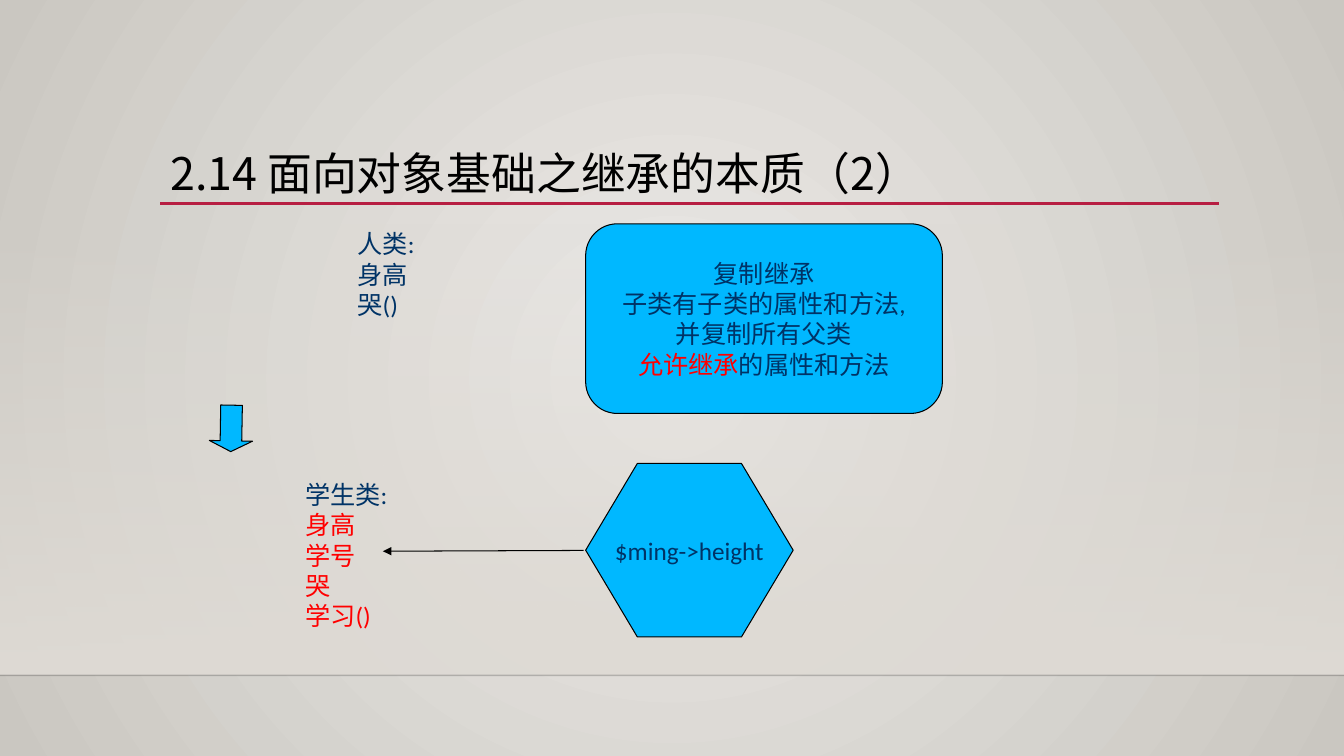
from lxml import etree
from pptx import Presentation
from pptx.dml.color import RGBColor
from pptx.enum.shapes import MSO_CONNECTOR, MSO_SHAPE
from pptx.enum.text import MSO_ANCHOR, MSO_AUTO_SIZE, PP_ALIGN
from pptx.oxml.ns import qn
from pptx.util import Cm, Pt

BLACK = RGBColor(0x00, 0x00, 0x00)
NAVY = RGBColor(0x00, 0x33, 0x66)
RED = RGBColor(0xFF, 0x00, 0x00)
SKY = RGBColor(0x00, 0xB8, 0xFF)
CRIMSON = RGBColor(0xB7, 0x1E, 0x42)
STONE = RGBColor(0xDF, 0xDB, 0xD5)
BG_INNER = RGBColor(0xEC, 0xEA, 0xE7)
BG_OUTER = RGBColor(0xCA, 0xC7, 0xC1)

WIDTH, HEIGHT = 33.87, 19.05
FLOOR_Y = 17.02
RULE_Y = 5.13


def set_alpha(owner, percent):
    color = owner.find('.//' + qn('a:srgbClr'))
    etree.SubElement(color, qn('a:alpha')).set('val', str(percent * 1000))


def set_gradient(fill, owner, colors, radial=False):
    """Give a fill two stops, running from the centre or straight down."""
    fill.gradient()
    for stop, color, position in zip(fill.gradient_stops, colors, (0, 1)):
        stop.color.rgb = color
        stop.position = position
    grad = owner.find('.//' + qn('a:gradFill'))
    grad.remove(grad.find(qn('a:lin')))
    if radial:
        direction = etree.Element(qn('a:path'), path='circle')
        sides = dict.fromkeys('ltrb', '50000')
        etree.SubElement(direction, qn('a:fillToRect'), sides)
    else:
        direction = etree.Element(qn('a:lin'), ang='5400000', scaled='0')
    grad.find(qn('a:gsLst')).addnext(direction)
    return grad


class SlideBuilder:
    latin = 'Calibri'
    east_asian = 'Noto Sans CJK SC'
    size = 18
    outline = 0.75

    def __init__(self, slide):
        self.slide = slide

    def background(self, inner, outer):
        fill = self.slide.background.fill
        set_gradient(fill, self.slide.element, (inner, outer), radial=True)

    def fade(self, x, y, w, h, color):
        sp = self.slide.shapes.add_shape(MSO_SHAPE.RECTANGLE, Cm(x), Cm(y), Cm(w), Cm(h))
        sp.shadow.inherit = False
        sp.line.fill.background()
        set_alpha(set_gradient(sp.fill, sp.element, (color, color)), 0)

    def line(self, x1, y1, x2, y2, color=BLACK, width=outline, alpha=None, arrow=False):
        cxn = self.slide.shapes.add_connector(
            MSO_CONNECTOR.STRAIGHT, Cm(x1), Cm(y1), Cm(x2), Cm(y2))
        cxn.line.color.rgb = color
        cxn.line.width = Pt(width)
        ln = cxn.element.spPr.find(qn('a:ln'))
        if alpha is not None:
            set_alpha(ln, alpha)
        if arrow:
            etree.SubElement(ln, qn('a:tailEnd')).set('type', 'triangle')
        etree.SubElement(cxn.element.spPr, qn('a:effectLst'))

    def fill_text(self, tf, lines, align=PP_ALIGN.LEFT, size=size, latin=latin):
        """Each line is a list of (text, colour) runs."""
        for i, runs in enumerate(lines):
            p = tf.add_paragraph() if i else tf.paragraphs[0]
            p.alignment = align
            for text, color in runs:
                r = p.add_run()
                r.text = text
                r.font.size = Pt(size)
                r.font.name = latin
                r.font.color.rgb = color
                ea = etree.Element(qn('a:ea'), typeface=self.east_asian)
                r.font._element.find(qn('a:latin')).addnext(ea)

    def text(self, x, y, w, h, lines):
        tf = self.slide.shapes.add_textbox(Cm(x), Cm(y), Cm(w), Cm(h)).text_frame
        tf.word_wrap = True
        tf.auto_size = MSO_AUTO_SIZE.SHAPE_TO_FIT_TEXT
        self.fill_text(tf, lines)

    def title(self, x, y, w, h, text):
        tf = self.slide.shapes.add_textbox(Cm(x), Cm(y), Cm(w), Cm(h)).text_frame
        tf.word_wrap = True
        tf.vertical_anchor = MSO_ANCHOR.BOTTOM
        self.fill_text(tf, [[(text, BLACK)]], size=32, latin=self.east_asian)
        tf.paragraphs[0].line_spacing = 0.9

    def shape(self, kind, x, y, w, h, adjustments, lines=(), rotation=0):
        sp = self.slide.shapes.add_shape(kind, Cm(x), Cm(y), Cm(w), Cm(h))
        sp.shadow.inherit = False
        sp.rotation = rotation
        for i, value in enumerate(adjustments):
            sp.adjustments[i] = value
        sp.fill.solid()
        sp.fill.fore_color.rgb = SKY
        sp.line.color.rgb = BLACK
        sp.line.width = Pt(self.outline)
        tf = sp.text_frame
        tf.word_wrap = False
        tf.vertical_anchor = MSO_ANCHOR.MIDDLE
        self.fill_text(tf, lines, PP_ALIGN.CENTER)


def main():
    prs = Presentation()
    prs.slide_width, prs.slide_height = Cm(WIDTH), Cm(HEIGHT)
    s = SlideBuilder(prs.slides.add_slide(prs.slide_layouts[6]))

    # Backdrop
    s.background(BG_INNER, BG_OUTER)
    s.fade(0, 5.61, WIDTH, 11.4, STONE)
    s.line(0, FLOOR_Y, WIDTH, FLOOR_Y, width=1, alpha=20)

    # Title and rule
    s.line(4.04, RULE_Y, 30.73, RULE_Y, CRIMSON, 2.5)
    s.title(4.04, 3.66, 26.67, 1.5, '2.14 面向对象基础之继承的本质（2）')

    # Parent and child class
    s.text(8.76, 5.64, 3.35, 2.49, [[(t, NAVY)] for t in ('人类:', '身高', '哭()')])
    members = [[(t, RED)] for t in ('身高', '学号', '哭', '学习()')]
    s.text(7.44, 11.96, 3.35, 3.99, [[('学生类:', NAVY)]] + members)
    s.shape(MSO_SHAPE.UP_ARROW, 5.28, 10.21, 1.09, 1.17, (0.5, 0.25), rotation=181)

    # Explanation
    s.shape(MSO_SHAPE.ROUNDED_RECTANGLE, 14.76, 5.64, 8.99, 4.78, (0.167,), [
        [('复制继承', NAVY)],
        [('子类有子类的属性和方法,', NAVY)],
        [('并复制所有父类', NAVY)],
        [('允许继承', RED), ('的属性和方法', NAVY)],
    ])

    # Property access
    s.shape(MSO_SHAPE.HEXAGON, 14.76, 11.68, 5.23, 4.37, (0.298, 1.155),
            [[('$ming->height', NAVY)]])
    s.line(14.71, 13.87, 9.65, 13.89, arrow=True)

    prs.save("out.pptx")


if __name__ == "__main__":
    main()
